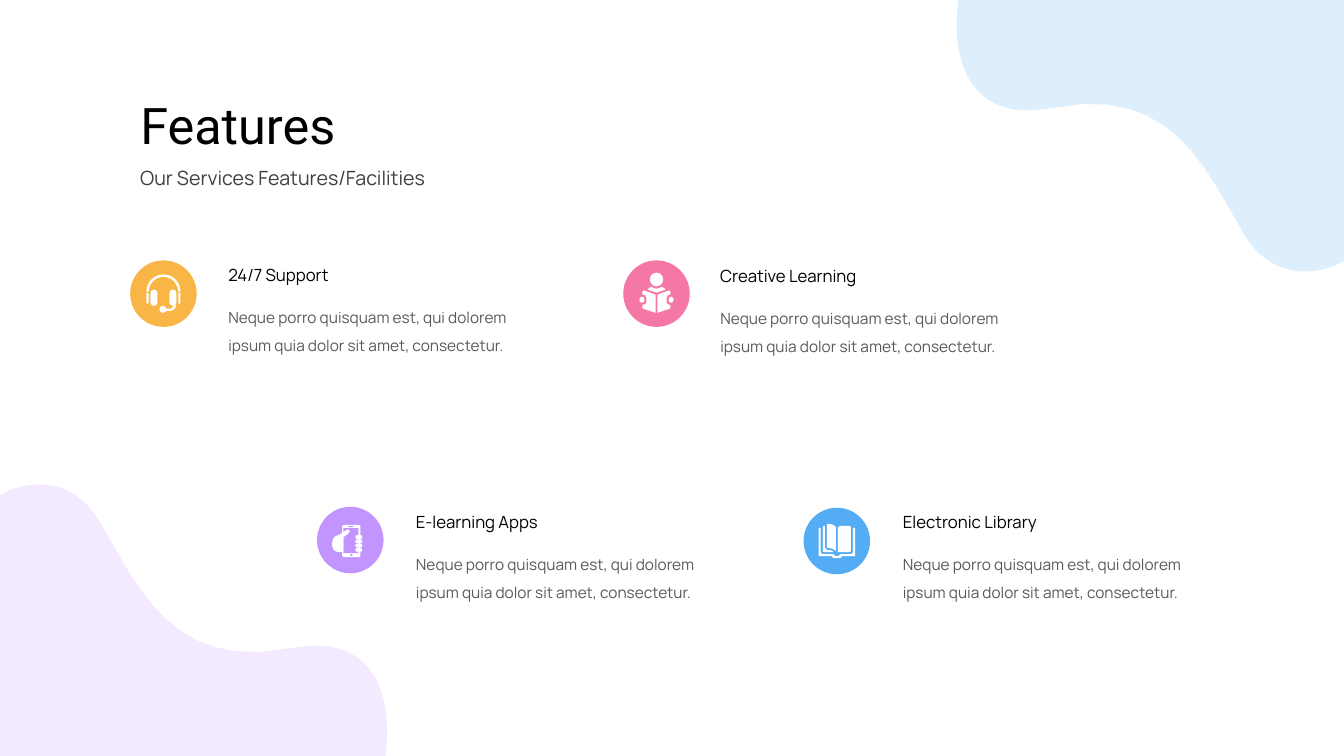
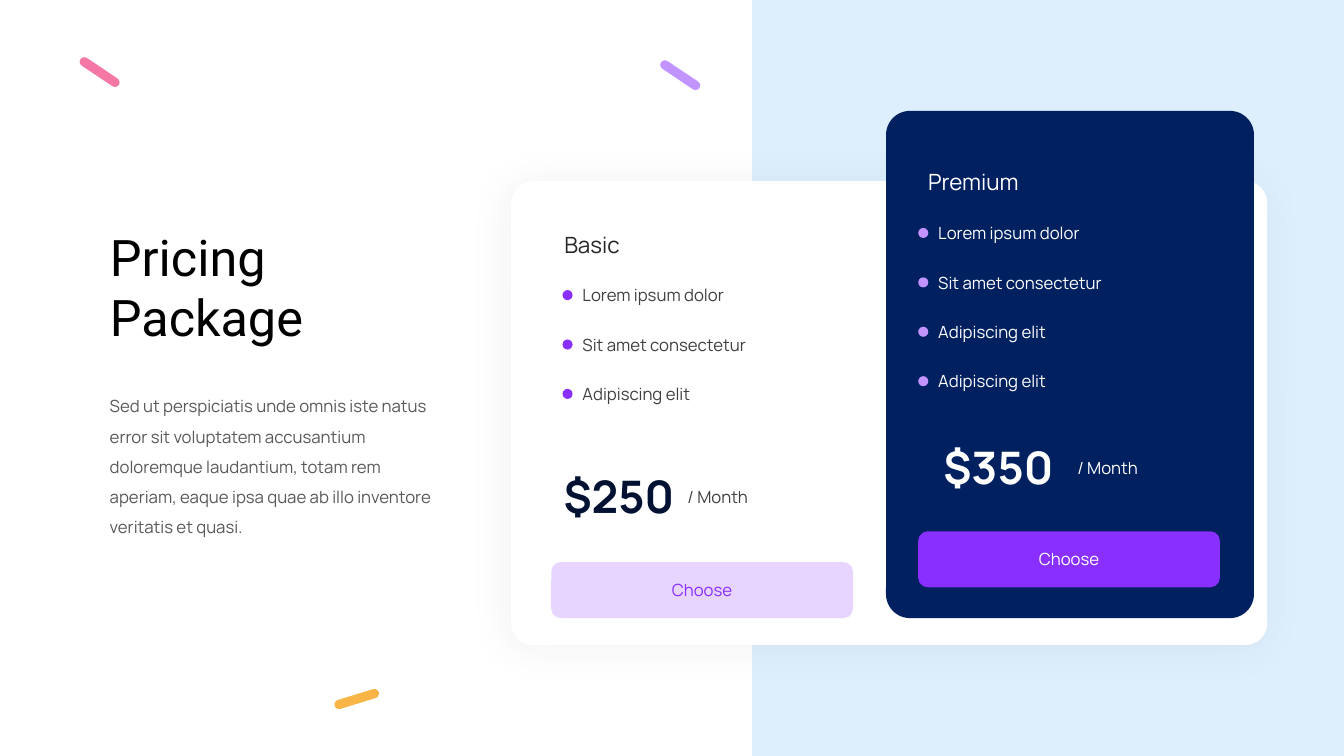
from lxml import etree
from pptx import Presentation
from pptx.dml.color import RGBColor
from pptx.enum.shapes import MSO_SHAPE as SHAPE
from pptx.enum.text import MSO_ANCHOR as ANCHOR, MSO_AUTO_SIZE as AUTO_SIZE, PP_ALIGN as ALIGN
from pptx.oxml.ns import qn
from pptx.util import Pt

WIDTH, HEIGHT = 960, 540
COLORS = {
    "white": "FFFFFF", "black": "000000", "ink": "262626", "dark": "404040",
    "grey": "595959", "sky": "DDEFFD", "mist": "F3EAFF", "orange": "F9B545",
    "pink": "F577A5", "lilac": "C294FF", "blue": "54ADF4", "violet": "892FFF",
    "pale": "E7D4FF", "navy": "002060", "price": "001132", "shadow": "222A35",
}
BADGE = 47.5
CURVE_STEPS = 12
FEATURE_TEXT = "Neque porro quisquam est, qui dolorem ipsum quia dolor sit amet, consectetur."

# Outlines: a start point, then lines (x, y) or curves (two controls and an end)
BLOB = [(888, 166.3), (909.4, 203.8, 945.4, 195.1, 960, 186.5), (960, 0), (684.7, 0),
        (679.7, 31.7, 685.4, 90.7, 753.1, 77), (836.6, 60.5, 861.1, 120.2, 888, 166.3)]
MICROPHONE_ARM = [(2, 10.8), (4.4, 10.8), (6, 10.8, 6.6, 10, 7.2, 8.7), (9.2, 8),
                  (9.2, 10.2, 7, 12.3, 4.4, 12.3), (2, 12.3)]
SHOULDERS = [(3.6, -5), (2.9, -4.3, 1.4, -3.6, 0, -3.6), (-1.4, -3.6, -2.9, -4.3, -3.6, -5),
             (-5, -4.3, -5.8, -3.6, -6.5, -2.9), (0, -0.7), (6.5, -2.9),
             (5.8, -3.6, 5, -4.3, 3.6, -5)]
HELD_PAGE = [(0.7, 0.7), (8.6, -2.2), (9.4, -2.2, 10, -2, 10, -1.4), (10, 0.7), (9.4, 0.7),
             (8.3, 0.7, 7.2, 2.2, 7.2, 3.6), (7.2, 5.8), (7.2, 7.2, 8.3, 7.9, 9.4, 7.9),
             (10, 7.9), (10, 10), (10, 10.4, 9.8, 10.8, 9.4, 10.8), (0.7, 13.7)]
HAND = [(-5.8, -5), (-8, -3.6, -10.1, -2.9, -10.1, -2.9), (-11.5, -2.2, -13, -0.7, -13, 2.9),
        (-13, 4.3, -12.8, 5.5, -12.2, 6.5), (-10.8, 8.6, -7.9, 8.6, -7.9, 8.6), (-5, 8.6),
        (-5, -2.2), (-4.3, -2.2, -0.7, -5, -0.7, -5.8), (0, -7.2, -1.4, -8, -2.9, -7.2),
        (-2.9, -6.5, -3.6, -6.5, -5, -5.8)]
COVER = [(-13, -9.4), (-11.5, -9.4), (-11.5, 7.2), (-11.5, 8.6, -10.8, 9.4, -9.4, 9.4),
         (-2.2, 9.4), (-2.2, 10.1, -1.4, 10.8, 0, 10.8), (1.4, 10.8, 2.2, 10.1, 2.2, 9.4),
         (9.4, 9.4), (10.8, 9.4, 11.5, 8.6, 11.5, 7.2), (11.5, -9.4), (13, -9.4), (13, 10.8),
         (3.6, 10.8), (3.6, 11.5, 2.9, 12.2, 1.4, 12.2), (-1.4, 12.2),
         (-2.9, 12.2, -3.6, 11.5, -3.6, 10.8), (-13, 10.8)]
LEFT_PAGE = [(-0.7, 7.2), (-0.7, -10), (-2.2, -11.5, -3.6, -12.2, -6.5, -12.2), (-7.2, -11.5),
             (-7.2, 4.3), (-6.5, 5), (-2.9, 5, -1.4, 6.5, -0.7, 7.2)]
RIGHT_PAGE = [(9.4, 7.9), (10, 7.2), (10, -10), (9.4, -10.8), (2.9, -10.8),
              (2.2, -10.8, 1.4, -10, 0.7, -10), (0.7, 8.6), (0.7, 8, 1, 7.9, 1.4, 7.9)]
PAGE_EDGE = [(-9.4, -10.8), (-10, -10), (-10, 7.2), (-9.4, 7.9), (-2.2, 7.9),
             (-2.9, 7.2, -3.6, 6.5, -6.5, 6.5), (-7.2, 6.5, -8.6, 5, -8.6, 4.3), (-8.6, -10.8)]


def flatten(outline):
    """Turn lines and cubic curves into a list of points."""
    points = [outline[0]]
    for segment in outline[1:]:
        if len(segment) == 2:
            points.append(segment)
            continue
        x0, y0 = points[-1]
        x1, y1, x2, y2, x3, y3 = segment
        for step in range(1, CURVE_STEPS + 1):
            t = step / CURVE_STEPS
            a, b, c, d = (1 - t) ** 3, 3 * t * (1 - t) ** 2, 3 * t * t * (1 - t), t ** 3
            points.append((a * x0 + b * x1 + c * x2 + d * x3,
                           a * y0 + b * y1 + c * y2 + d * y3))
    return points


class Deck:
    """Shared style and the slide being filled."""

    def __init__(self):
        self.presentation = Presentation()
        self.presentation.slide_width = Pt(WIDTH)
        self.presentation.slide_height = Pt(HEIGHT)
        self.slide = None

    def add_slide(self, title, left, top, height):
        self.slide = self.presentation.slides.add_slide(self.presentation.slide_layouts[5])
        placeholder = self.slide.shapes.title
        placeholder.left, placeholder.top = Pt(left), Pt(top)
        placeholder.width, placeholder.height = Pt(240), Pt(height)
        self.set_text(placeholder.text_frame, title, 36, "black", font="Roboto")

    def set_text(self, frame, text, size, color, font="Manrope", bold=False,
                 align=ALIGN.LEFT, anchor=ANCHOR.TOP, spacing=1.0):
        frame.text = text
        frame.word_wrap = True
        frame.auto_size = AUTO_SIZE.NONE
        frame.vertical_anchor = anchor
        for paragraph in frame.paragraphs:
            paragraph.alignment = align
            paragraph.line_spacing = spacing
            paragraph.font.name = font
            paragraph.font.size = Pt(size)
            paragraph.font.bold = bold
            paragraph.font.color.rgb = RGBColor.from_string(COLORS[color])

    def text(self, text, left, top, width, height, size, color, **style):
        box = self.slide.shapes.add_textbox(Pt(left), Pt(top), Pt(width), Pt(height))
        self.set_text(box.text_frame, text, size, color, **style)

    def paint(self, shape, color):
        shape.shadow.inherit = False
        shape.fill.solid()
        shape.fill.fore_color.rgb = RGBColor.from_string(COLORS[color])
        shape.line.fill.background()
        return shape

    def shape(self, kind, left, top, width, height, color):
        return self.paint(self.slide.shapes.add_shape(
            kind, Pt(left), Pt(top), Pt(width), Pt(height)), color)

    def rounded(self, left, top, width, height, color, radius, rotation=0):
        shape = self.shape(SHAPE.ROUNDED_RECTANGLE, left, top, width, height, color)
        shape.adjustments[0] = radius
        shape.rotation = rotation
        return shape

    def outline(self, outline, color, x=0, y=0, flip_x=1, flip_y=1):
        points = [(Pt(x + flip_x * px), Pt(y + flip_y * py)) for px, py in flatten(outline)]
        builder = self.slide.shapes.build_freeform(*points[0], scale=1.0)
        builder.add_line_segments(points[1:], close=True)
        self.paint(builder.convert_to_shape(), color)

    def soft_shadow(self, shape):
        effects = shape._element.spPr.find(qn("a:effectLst"))
        shadow = etree.SubElement(effects, qn("a:outerShdw"), blurRad=str(Pt(29)),
                                  dist=str(Pt(3)), dir=str(135 * 60000), algn="tr",
                                  rotWithShape="0")
        tone = etree.SubElement(shadow, qn("a:srgbClr"), val=COLORS["shadow"])
        etree.SubElement(tone, qn("a:alpha"), val="5000")

    # Icons, drawn around the centre (x, y) of a badge
    def headset(self, x, y, badge_color):
        band = self.shape(SHAPE.BLOCK_ARC, x - 12.2, y - 13.7, 24.4, 24.4, "white")
        band.adjustments[2] = 0.07
        for cup, pad in ((-9.3, -12.2), (4.3, 10.6)):
            self.rounded(x + cup, y - 2.9, 5, 11.6, "white", 0.5)
            self.rounded(x + pad, y - 0.7, 1.6, 7.9, "white", 0.5)
        self.shape(SHAPE.OVAL, x - 2.8, y + 8.7, 5, 5, "white")
        self.outline(MICROPHONE_ARM, "white", x, y)

    def reader(self, x, y, badge_color):
        self.shape(SHAPE.OVAL, x - 4.8, y - 15, 9.6, 9.8, "white")
        self.outline(SHOULDERS, "white", x, y)
        for side in (-1, 1):
            self.outline(HELD_PAGE, "white", x, y, flip_x=side)
            self.shape(SHAPE.OVAL, x + side * 10.4 - 1.8, y + 2.2, 3.6, 4.3, "white")

    def phone(self, x, y, badge_color):
        self.rounded(x - 5.8, y - 10.8, 13, 23, "white", 0.1)
        self.shape(SHAPE.RECTANGLE, x - 5, y - 8.6, 10.8, 18, badge_color)
        self.outline(HAND, "white", x, y)
        for finger in range(4):
            self.rounded(x + 3.6, y - 3.5 + 3.05 * finger, 5, 2.7, "white", 0.5)
        self.shape(SHAPE.OVAL, x, y + 9.8, 1.6, 1.6, badge_color)
        self.rounded(x - 1.4, y - 9.9, 3.6, 0.6, badge_color, 0.5)

    def book(self, x, y, badge_color):
        for part in (COVER, LEFT_PAGE, RIGHT_PAGE, PAGE_EDGE):
            self.outline(part, "white", x, y)

    # Composite elements
    def feature(self, title, badge_left, badge_top, text_left, text_top, color, icon):
        self.text(title, text_left, text_top, 180, 21.8, 12, "black")
        self.text(FEATURE_TEXT, text_left, text_top + 24.3, 237, 45.4, 11, "grey", spacing=1.5)
        self.shape(SHAPE.OVAL, badge_left, badge_top, BADGE, BADGE, color)
        icon(badge_left + BADGE / 2, badge_top + BADGE / 2, color)

    def checklist(self, items, left, top, dot_color, text_color):
        for row, item in enumerate(items):
            row_top = top + 35.3 * row
            self.shape(SHAPE.OVAL, left, row_top + 7.2, 7.2, 7.2, dot_color)
            self.text(item, left + 7.2, row_top, 180, 21.8, 12, text_color)

    def price(self, amount, left, top, color, month_left, month_color):
        self.text(amount, left, top, 110, 46, 32, color, bold=True)
        self.text("/ Month", month_left, top + 13, 80, 21.8, 12, month_color)

    def button(self, left, top, fill, color):
        shape = self.rounded(left, top, 215.5, 40, fill, 0.17)
        self.set_text(shape.text_frame, "Choose", 12, color, align=ALIGN.CENTER,
                      anchor=ANCHOR.MIDDLE)


def features_slide(deck):
    deck.add_slide("Features", 93, 63.4, 51)
    deck.text("Our Services Features/Facilities", 93, 115.2, 280, 24.5, 14, "dark")
    # Corner blobs, the second turned half around
    deck.outline(BLOB, "sky")
    deck.outline(BLOB, "mist", WIDTH, HEIGHT, flip_x=-1, flip_y=-1)
    for feature in (
        ("24/7 Support", 93, 186, 156, 185.8, "orange", deck.headset),
        ("Creative Learning", 445.2, 186, 507.4, 186.3, "pink", deck.reader),
        ("E-learning Apps", 226.5, 362, 290, 362.2, "lilac", deck.phone),
        ("Electronic Library", 574, 362.7, 637.8, 362.2, "blue", deck.book),
    ):
        deck.feature(*feature)


def pricing_slide(deck):
    deck.add_slide("Pricing\nPackage", 71.3, 157.7, 94.3)
    deck.text("Sed ut perspiciatis unde omnis iste natus error sit voluptatem accusantium "
              "doloremque laudantium, totam rem aperiam, eaque ipsa quae ab illo inventore "
              "veritatis et quasi.", 71.3, 272.2, 254, 114.5, 12, "grey", spacing=1.5)
    # Panel and cards
    deck.shape(SHAPE.RECTANGLE, 537.3, 0, WIDTH - 537.3, HEIGHT, "sky")
    deck.soft_shadow(deck.rounded(365.2, 129.5, 540, 331.2, "white", 0.046))
    deck.rounded(632.9, 79.2, 262.8, 362.3, "navy", 0.065)
    # Basic plan
    items = ["Lorem ipsum dolor", "Sit amet consectetur", "Adipiscing elit"]
    deck.text("Basic", 396, 161.3, 120, 26.7, 16, "ink")
    deck.checklist(items, 401.8, 200, "violet", "dark")
    deck.price("$250", 395.5, 331.2, "price", 484, "dark")
    deck.button(393.8, 401.5, "pale", "violet")
    # Premium plan
    deck.text("Premium", 655.9, 116.6, 120, 26.7, 16, "white")
    deck.checklist(items + items[-1:], 655.9, 155.6, "lilac", "white")
    deck.price("$350", 666.7, 310.3, "white", 762.5, "white")
    deck.button(655.9, 379.5, "violet", "white")
    # Confetti
    for left, top, color, rotation in ((469.4, 50.4, "lilac", 33.8),
                                       (238.3, 496, "orange", 342.9),
                                       (54.7, 48.2, "pink", 33.8)):
        deck.rounded(left, top, 33, 6.6, color, 0.5, rotation)


def main():
    deck = Deck()
    features_slide(deck)
    pricing_slide(deck)
    deck.presentation.save("out.pptx")


if __name__ == "__main__":
    main()
